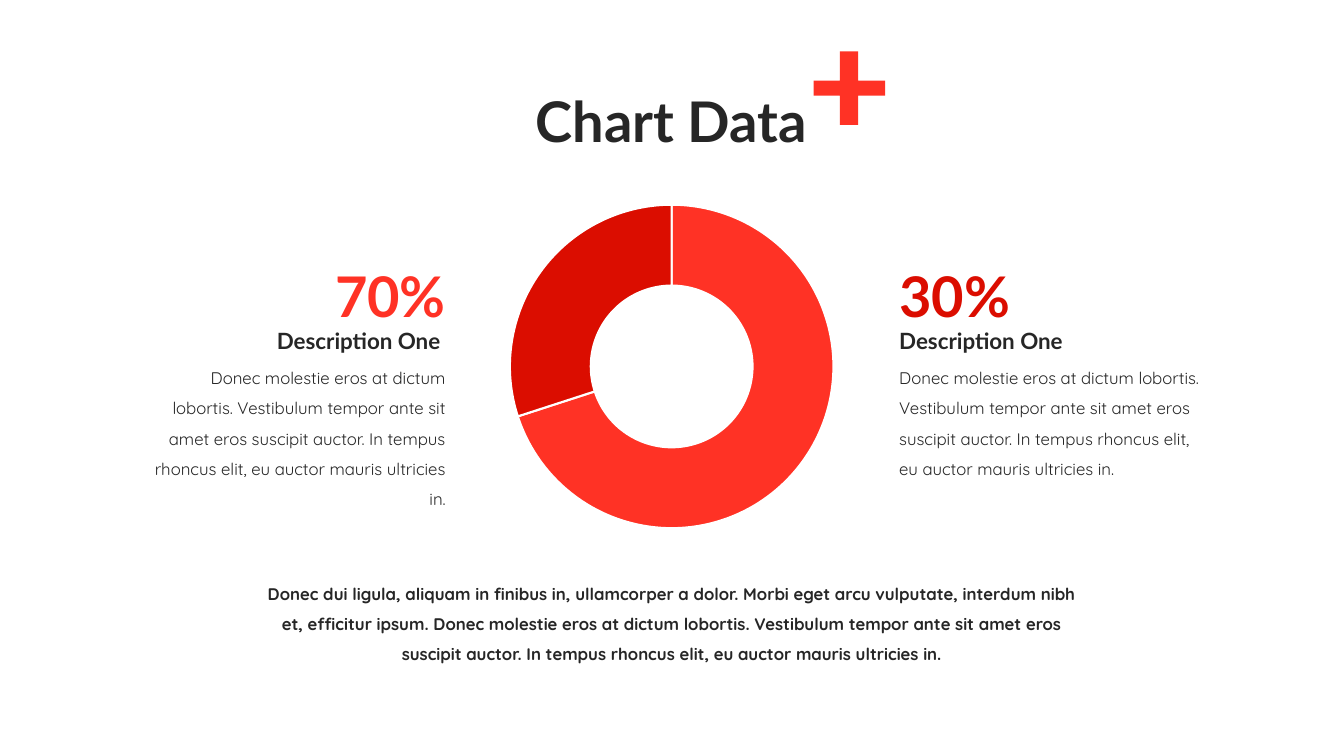
from dataclasses import dataclass

import pptx
import pptx.chart.data
import pptx.dml.color
import pptx.enum.chart
import pptx.enum.text
import pptx.oxml
import pptx.util
from pptx.util import Inches

ALIGN = pptx.enum.text.PP_ALIGN
ANCHOR = pptx.enum.text.MSO_ANCHOR
AUTO = pptx.enum.text.MSO_AUTO_SIZE

COLORS = {"ink": "262626", "red": "FF3225", "dark_red": "DB0D00", "white": "FFFFFF"}
HEADING, BODY = "Lato", "Quicksand"
DETAIL = (
    "Donec molestie eros at dictum lobortis. Vestibulum tempor ante sit amet eros "
    "suscipit auctor. In tempus rhoncus elit, eu auctor mauris ultricies in."
)
SUMMARY = (
    "Donec dui ligula, aliquam in finibus in, ullamcorper a dolor. "
    "Morbi eget arcu vulputate, interdum nibh et, efficitur ipsum. " + DETAIL
)


@dataclass
class Label:
    text: str
    left: float
    top: float
    width: float
    height: float
    size: float
    font: str = HEADING
    color: str = "ink"
    bold: bool = True
    align: ALIGN = ALIGN.LEFT
    spacing: float = 1.5
    anchor: ANCHOR = ANCHOR.TOP
    grow: bool = True


LABELS = [
    Label(DETAIL, 1.41, 3.5, 3.11, 1.31, 12, BODY, bold=False, align=ALIGN.RIGHT),
    Label("Description One ", 0.93, 3.06, 3.59, 0.5, 16, align=ALIGN.RIGHT),
    Label("70%", 2.75, 2.21, 1.77, 1.11, 40, color="red", align=ALIGN.RIGHT),
    Label(DETAIL, 8.82, 3.5, 3.24, 1.31, 12, BODY, bold=False),
    Label("Description One", 8.82, 3.06, 2.89, 0.45, 16),
    Label("30%", 8.82, 2.21, 1.77, 1.01, 40, color="dark_red"),
    Label(SUMMARY, 2.45, 5.64, 8.43, 1.01, 12, BODY, align=ALIGN.CENTER),
    Label("Chart Data", 4.12, 0.51, 5.08, 1.45, 40, align=ALIGN.CENTER,
          spacing=0.9, anchor=ANCHOR.MIDDLE, grow=False),
]


def rgb(name: str) -> pptx.dml.color.RGBColor:
    return pptx.dml.color.RGBColor.from_string(COLORS[name])


def add_label(s: pptx.slide.Slide, label: Label) -> None:
    sp = s.shapes.add_textbox(Inches(label.left), Inches(label.top),
                              Inches(label.width), Inches(label.height))
    tf = sp.text_frame
    tf.word_wrap = True
    tf.auto_size = AUTO.SHAPE_TO_FIT_TEXT if label.grow else AUTO.NONE
    tf.vertical_anchor = label.anchor
    tf.text = label.text
    p = tf.paragraphs[0]
    p.alignment = label.align
    p.line_spacing = label.spacing
    r = p.runs[0]
    r.font.name = label.font
    r.font.size = pptx.util.Pt(label.size)
    r.font.bold = label.bold
    r.font.color.rgb = rgb(label.color)


def add_doughnut(s: pptx.slide.Slide) -> None:
    width, height, diameter = 5.27, 3.51, 3.21
    data = pptx.chart.data.CategoryChartData()
    data.categories = ["1", "2"]
    data.add_series("Series 1", [70, 30])
    chart = s.shapes.add_chart(
        pptx.enum.chart.XL_CHART_TYPE.DOUGHNUT, Inches(4.03), Inches(1.88),
        Inches(width), Inches(height), data).chart
    chart.has_legend = False
    chart.has_title = False
    chart.font.name = BODY
    chart.font.size = pptx.util.Pt(10)
    chart.font.color.rgb = rgb("ink")
    plot = chart.plots[0]
    plot.vary_by_categories = True
    for i, color in enumerate(["red", "dark_red"]):
        fmt = plot.series[0].points[i].format
        fmt.fill.solid()
        fmt.fill.fore_color.rgb = rgb(color)
        fmt.line.color.rgb = rgb("white")
        fmt.line.width = pptx.util.Pt(1.5)

    root = chart.element
    root.xpath(".//c:holeSize")[0].set("val", "75")
    w, h = diameter / width, diameter / height
    box = {"x": (1 - w) / 2, "y": (1 - h) / 2, "w": w, "h": h}
    values = "".join(f'<c:{key} val="{val:.3f}"/>' for key, val in box.items())
    layout = pptx.oxml.parse_xml(
        '<c:layout xmlns:c="http://schemas.openxmlformats.org/drawingml/2006/chart">'
        '<c:manualLayout><c:layoutTarget val="inner"/><c:xMode val="edge"/>'
        f'<c:yMode val="edge"/>{values}</c:manualLayout></c:layout>')
    area = root.xpath(".//c:plotArea")[0]
    for old in area.xpath("./c:layout"):
        area.remove(old)
    area.insert(0, layout)


def add_plus(s: pptx.slide.Slide) -> None:
    x0, x1, x2, x3 = (Inches(x) for x in (8.07, 8.33, 8.51, 8.78))
    y0, y1, y2, y3 = (Inches(y) for y in (0.51, 0.8, 0.95, 1.24))
    fb = s.shapes.build_freeform(x1, y0)
    fb.add_line_segments([
        (x2, y0), (x2, y1), (x3, y1), (x3, y2), (x2, y2), (x2, y3),
        (x1, y3), (x1, y2), (x0, y2), (x0, y1), (x1, y1),
    ], close=True)
    sp = fb.convert_to_shape()
    sp.shadow.inherit = False
    sp.fill.solid()
    sp.fill.fore_color.rgb = rgb("red")
    sp.line.fill.background()


def main() -> None:
    prs = pptx.Presentation()
    prs.slide_width, prs.slide_height = Inches(13.33), Inches(7.5)
    s = prs.slides.add_slide(prs.slide_layouts[6])
    add_doughnut(s)
    add_plus(s)
    for label in LABELS:
        add_label(s, label)
    prs.save("out.pptx")


if __name__ == "__main__":
    main()
